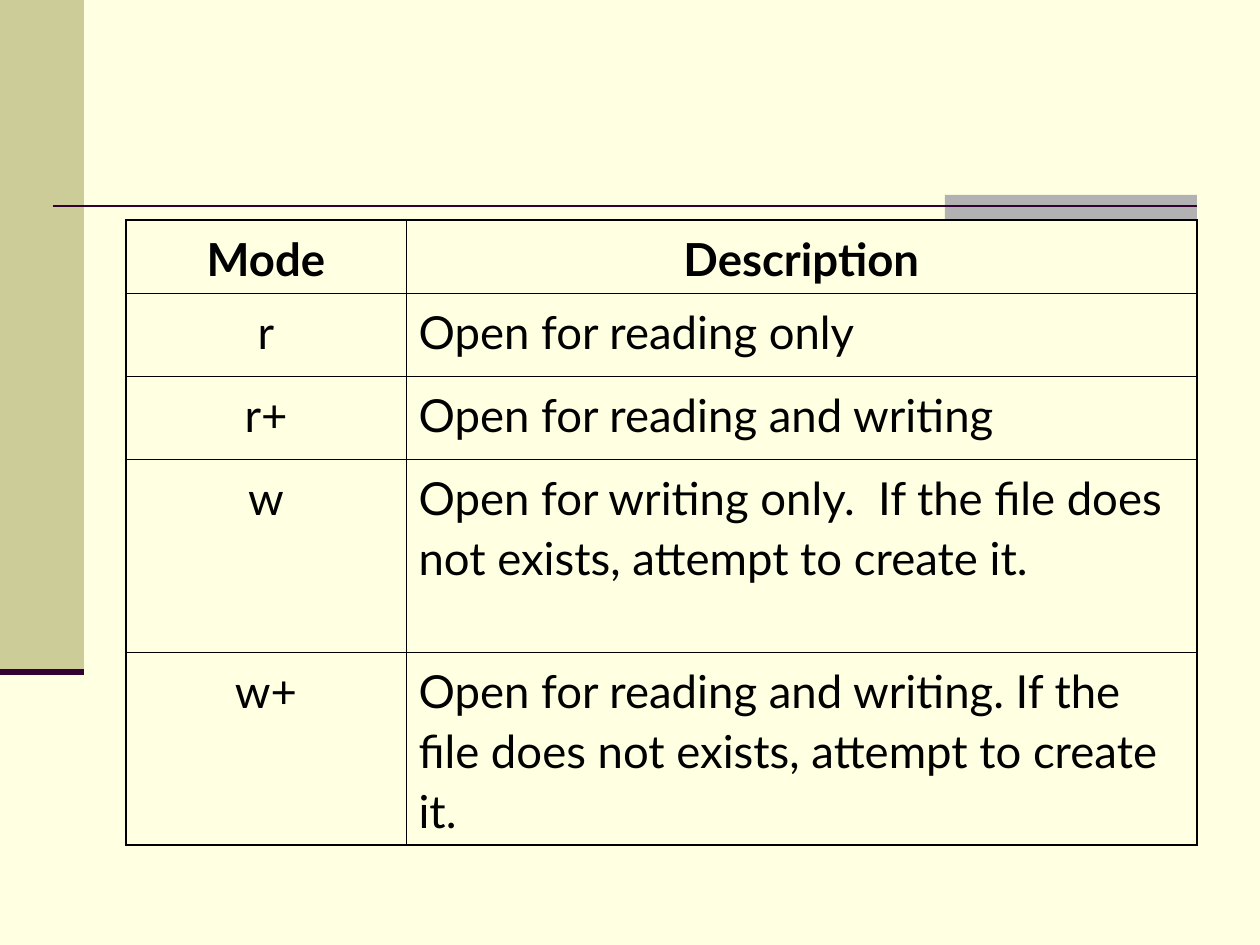
import dataclasses

import lxml.etree
import pptx
import pptx.dml.color
import pptx.enum.shapes
import pptx.enum.text
import pptx.oxml.ns
import pptx.util

PX = pptx.util.Inches(1) / 126


@dataclasses.dataclass(frozen=True)
class Theme:
    """Colours, font and sizes of the slide."""
    paper: str = "FFFFE1"
    olive: str = "CCCC99"
    grey: str = "B2B2B2"
    plum: str = "330033"
    ink: str = "000000"
    font: str = "Lato"
    text_pt: float = 26
    before_pt: float = 6.5
    spacing: float = 1.1
    outer_pt: float = 1.08
    inner_pt: float = 0.45


def emu(px):
    """Turn pixels into EMU."""
    return pptx.util.Emu(round(px * PX))


def rgb(code):
    """Turn a hex code into a colour."""
    return pptx.dml.color.RGBColor.from_string(code)


def add_xml(parent, tag, **attrs):
    """Append a drawing element to a parent."""
    return lxml.etree.SubElement(parent, pptx.oxml.ns.qn(tag), **attrs)


class SlideBuilder:
    """Draws elements on one slide in one style."""

    def __init__(self, s, theme):
        """Keep the slide and theme, and paint the background."""
        self.s, self.theme = s, theme
        s.background.fill.solid()
        s.background.fill.fore_color.rgb = rgb(theme.paper)

    def rect(self, x, y, w, h, color):
        """Add a plain rectangle without outline."""
        sp = self.s.shapes.add_shape(pptx.enum.shapes.MSO_SHAPE.RECTANGLE,
                                     emu(x), emu(y), emu(w), emu(h))
        sp.shadow.inherit = False
        sp.fill.solid()
        sp.fill.fore_color.rgb = rgb(color)
        sp.line.fill.background()

    def rule(self, x1, x2, y, width):
        """Add a horizontal line."""
        line = self.s.shapes.add_connector(pptx.enum.shapes.MSO_CONNECTOR.STRAIGHT,
                                           emu(x1), emu(y), emu(x2), emu(y))
        line.line.color.rgb = rgb(self.theme.plum)
        line.line.width = pptx.util.Pt(width)
        add_xml(line._element.spPr, "a:effectLst")

    def border(self, cell, side, width):
        """Draw one side of a cell."""
        ln = add_xml(cell._tc.get_or_add_tcPr(), "a:ln" + side,
                     w=str(pptx.util.Pt(width)))
        add_xml(add_xml(ln, "a:solidFill"), "a:srgbClr", val=self.theme.ink)

    def cell_text(self, cell, text, bold, centred):
        """Write and format the text of a cell."""
        align = pptx.enum.text.PP_ALIGN
        p = cell.text_frame.paragraphs[0]
        p.alignment = align.CENTER if centred else align.LEFT
        p.line_spacing = self.theme.spacing
        p.space_before = pptx.util.Pt(self.theme.before_pt)
        r = p.add_run()
        r.text = text
        r.font.name = self.theme.font
        r.font.size = pptx.util.Pt(self.theme.text_pt)
        r.font.bold = bold
        r.font.color.rgb = rgb(self.theme.ink)

    def table(self, x, y, widths, heights, rows):
        """Add a table with a heavier outer frame and a bold header."""
        frame = self.s.shapes.add_table(len(heights), len(widths), emu(x), emu(y),
                                        emu(sum(widths)), emu(sum(heights)))
        table = frame.table
        table.horz_banding = False
        for col, width in zip(table.columns, widths):
            col.width = emu(width)
        for row, height in zip(table.rows, heights):
            row.height = emu(height)
        for i, texts in enumerate(rows):
            for j, text in enumerate(texts):
                cell = table.cell(i, j)
                outer = {"L": j == 0, "R": j == len(widths) - 1,
                         "T": i == 0, "B": i == len(heights) - 1}
                for side, heavy in outer.items():
                    self.border(cell, side, self.theme.outer_pt if heavy
                                else self.theme.inner_pt)
                cell.fill.solid()
                cell.fill.fore_color.rgb = rgb(self.theme.paper)
                self.cell_text(cell, text, bold=i == 0, centred=i == 0 or j == 0)


MODES = [
    ("Mode", "Description"),
    ("r", "Open for reading only"),
    ("r+", "Open for reading and writing"),
    ("w", "Open for writing only.  If the file does not exists, attempt to create it."),
    ("w+", "Open for reading and writing. If the file does not exists, attempt to create it."),
]


def main():
    """Build and save the file modes slide."""
    prs = pptx.Presentation()
    prs.slide_width, prs.slide_height = emu(1260), emu(945)
    theme = Theme()
    b = SlideBuilder(prs.slides.add_slide(prs.slide_layouts[6]), theme)
    b.rect(0, 0, 84, 672, theme.olive)
    b.rect(945, 195, 252, 25, theme.grey)
    b.rule(53, 1197, 206, 1.5)
    b.rule(0, 84, 672, 3.5)
    b.table(126, 220, [280, 791], [73, 83, 83, 193, 193], MODES)
    prs.save("out.pptx")


main()
